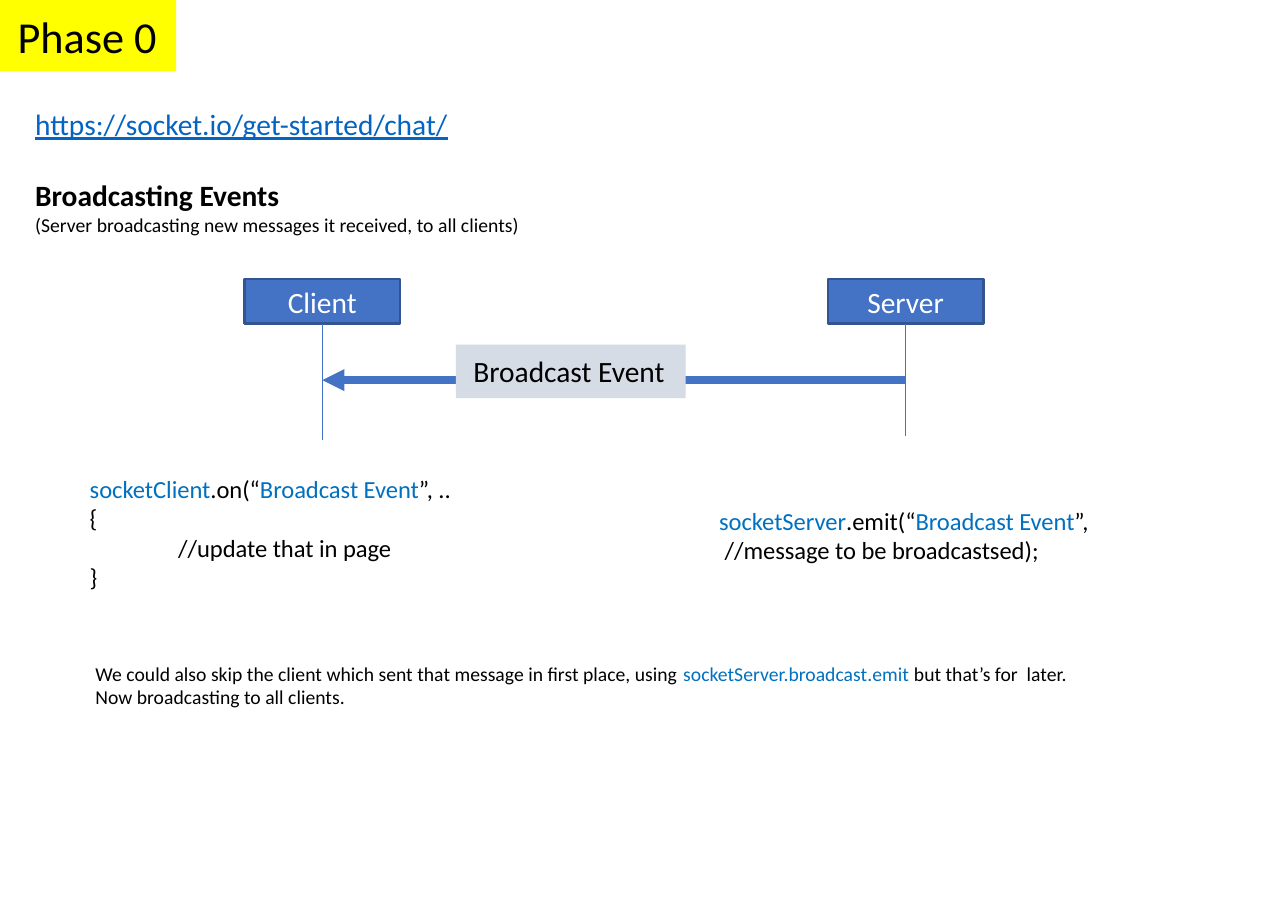
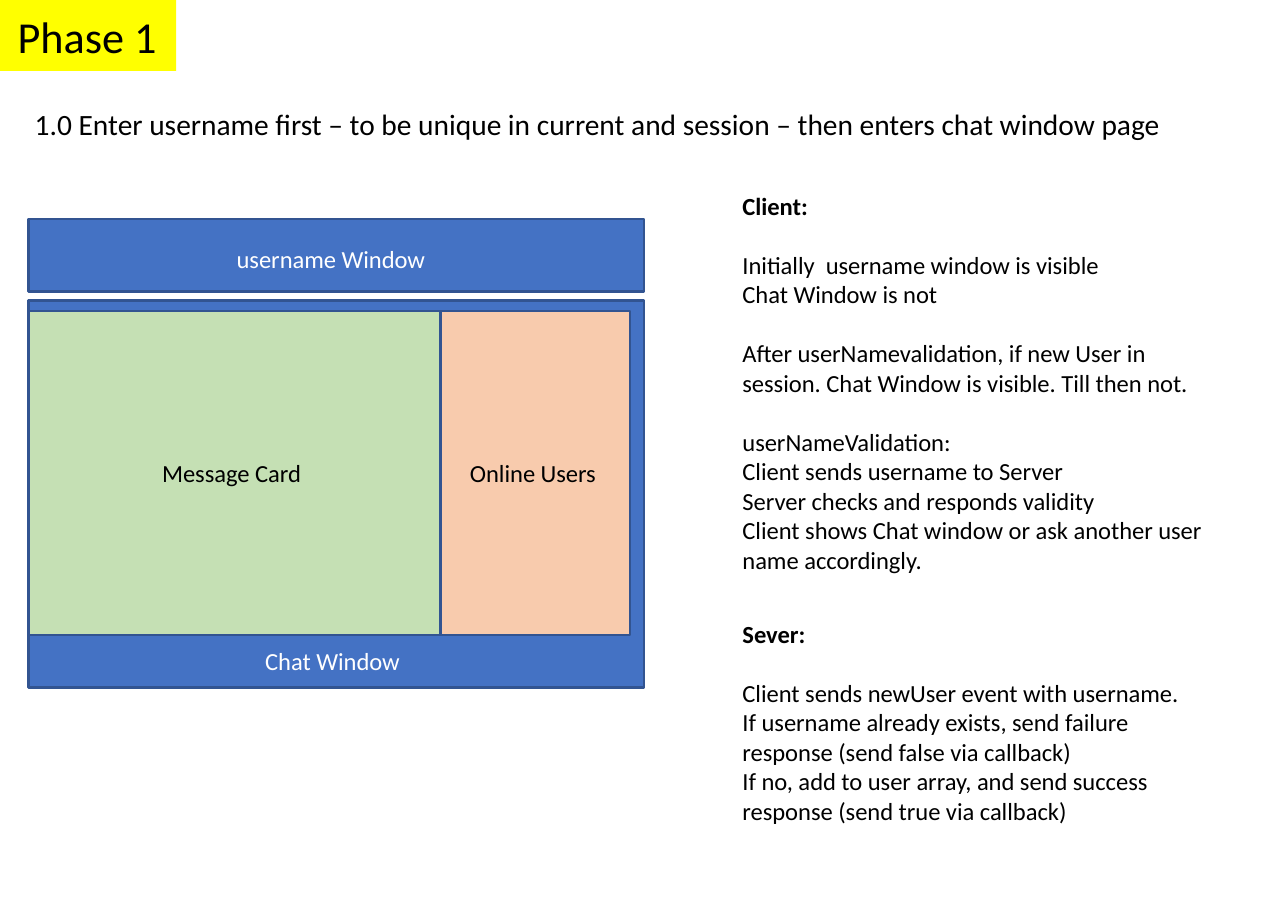
from dataclasses import dataclass
from typing import Optional

from lxml import etree
from pptx import Presentation
from pptx import util as u
from pptx.dml.color import RGBColor
from pptx.enum import shapes, text
from pptx.oxml.ns import qn

FONT = "Calibri"
BLACK, WHITE = "000000", "FFFFFF"
BLUE, OUTLINE, CODE_BLUE, LINK_BLUE = "4472C4", "325491", "0070C0", "0563C1"
YELLOW, GREY, GREEN, ORANGE = "FFFF00", "D6DCE5", "C5E0B4", "F8CBAD"
BLANK_LINE = 12  # points, one line of 10 pt text


@dataclass(frozen=True)
class Frame:
    """Place and size in centimetres."""
    left: float
    top: float
    width: float
    height: float

    @property
    def centre(self) -> float:
        return self.left + self.width / 2

    @property
    def bottom(self) -> float:
        return self.top + self.height

    def lengths(self) -> tuple:
        return tuple(u.Cm(v) for v in (self.left, self.top, self.width, self.height))


@dataclass(frozen=True)
class Run:
    text: str
    color: str = BLACK
    bold: bool = False
    underline: bool = False


@dataclass(frozen=True)
class Line:
    runs: tuple
    size: float = 10
    before: float = 0
    indent: float = 0


@dataclass(frozen=True)
class Box:
    frame: Frame
    fill: str
    outline: Optional[str] = OUTLINE


@dataclass(frozen=True)
class Label:
    frame: Frame
    text: str
    color: str = BLACK


def plain(content: str, size: float = 10, before: float = 0, color: str = BLACK,
          bold: bool = False) -> Line:
    return Line((Run(content, color, bold),), size, before)


def rgb(color: str) -> RGBColor:
    return RGBColor.from_string(color)


def write(shape, lines: list, wrap: bool = False, centred: bool = False, grow: bool = True) -> None:
    frame = shape.text_frame
    frame.word_wrap = wrap
    frame.auto_size = (text.MSO_AUTO_SIZE.SHAPE_TO_FIT_TEXT if grow
                       else text.MSO_AUTO_SIZE.NONE)
    frame.vertical_anchor = text.MSO_ANCHOR.MIDDLE if centred else text.MSO_ANCHOR.TOP
    for number, line in enumerate(lines):
        paragraph = frame.add_paragraph() if number else frame.paragraphs[0]
        paragraph.alignment = text.PP_ALIGN.CENTER if centred else text.PP_ALIGN.LEFT
        paragraph.space_before = u.Pt(line.before)
        properties = paragraph._p.get_or_add_pPr()
        properties.set("marL", str(u.Cm(line.indent)))
        properties.set("indent", "0")
        etree.SubElement(properties, qn("a:buNone"))
        for part in line.runs:
            run = paragraph.add_run()
            run.text = part.text
            run.font.name = FONT
            run.font.size = u.Pt(line.size)
            run.font.bold = part.bold
            run.font.underline = part.underline
            run.font.color.rgb = rgb(part.color)


def place(shape, frame: Frame) -> None:
    shape.left, shape.top, shape.width, shape.height = frame.lengths()


def add_phase_slide(presentation, layout: int, title: str):
    slide = presentation.slides.add_slide(presentation.slide_layouts[layout])
    badge = slide.shapes.title
    place(badge, Frame(0, 0, 2.53, 1.02))
    badge.fill.solid()
    badge.fill.fore_color.rgb = rgb(YELLOW)
    write(badge, [plain(title, 18)], grow=False)
    return slide


def fill_body(slide, index: int, frame: Frame, lines: list, wrap: bool = True) -> None:
    body = slide.placeholders[index]
    place(body, frame)
    write(body, lines, wrap, grow=False)


def add_text(slide, frame: Frame, lines: list, wrap: bool = False) -> None:
    write(slide.shapes.add_textbox(*frame.lengths()), lines, wrap)


def add_box(slide, box: Box):
    shape = slide.shapes.add_shape(shapes.MSO_SHAPE.RECTANGLE, *box.frame.lengths())
    shape.shadow.inherit = False
    shape.fill.solid()
    shape.fill.fore_color.rgb = rgb(box.fill)
    if box.outline:
        shape.line.color.rgb = rgb(box.outline)
        shape.line.width = u.Pt(1)
    else:
        shape.line.fill.background()
    return shape


def add_line(slide, start: tuple, end: tuple, width: float, arrow: bool = False) -> None:
    """Draw a straight line; an arrow points at its start."""
    connector = slide.shapes.add_connector(
        shapes.MSO_CONNECTOR.STRAIGHT, *(u.Cm(v) for v in start + end))
    connector.line.color.rgb = rgb(BLUE)
    connector.line.width = u.Pt(width)
    properties = connector._element.spPr
    if arrow:
        etree.SubElement(properties.find(qn("a:ln")), qn("a:headEnd"), type="triangle")
    etree.SubElement(properties, qn("a:effectLst"))


def build_broadcast_slide(presentation) -> None:
    slide = add_phase_slide(presentation, 1, "Phase 0")
    fill_body(slide, 1, Frame(0.25, 1.4, 7.54, 2.13), [
        Line((Run("https://socket.io/get-started/chat/", LINK_BLUE, underline=True),), 12),
        plain("Broadcasting Events", 12, 14.4, bold=True),
        plain("(Server broadcasting new messages it received, to all clients)", 8),
    ], wrap=False)

    client = Frame(3.51, 4.01, 2.24, 0.64)
    server = Frame(11.89, 4.01, 2.24, 0.64)
    for name, frame in (("Client", client), ("Server", server)):
        shape = add_box(slide, Box(frame, BLUE))
        margins = shape.text_frame
        margins.margin_left = margins.margin_right = u.Cm(0.1)
        margins.margin_top = margins.margin_bottom = u.Cm(0.05)
        write(shape, [plain(name, 12, color=WHITE)], wrap=True, centred=True, grow=False)
    for frame, end in ((client, 6.32), (server, 6.27)):
        add_line(slide, (frame.centre, frame.bottom), (frame.centre, end), 0.5)
    arrow_top = 5.46
    add_line(slide, (client.centre, arrow_top), (server.centre, arrow_top), 3, arrow=True)
    event = add_box(slide, Box(Frame(6.55, 4.95, 3.3, 0.77), GREY, None))
    write(event, [plain("Broadcast Event", 12)])

    event_name = Run("Broadcast Event", CODE_BLUE)
    add_text(slide, Frame(10.08, 7.14, 6.05, 1.12), [
        Line((Run("socketServer", CODE_BLUE), Run(".emit(“"), event_name, Run("”,"))),
        plain(" //message to be broadcastsed);"),
    ])
    add_text(slide, Frame(1.04, 6.68, 5.84, 1.96), [
        Line((Run("socketClient", CODE_BLUE), Run(".on(“"), event_name, Run("”, .."))),
        plain("{"),
        Line((Run("//update that in page"),), indent=1.27),
        plain("}"),
    ])
    add_text(slide, Frame(1.12, 9.38, 14.99, 0.94), [
        Line((Run("We could also skip the client which sent that message in first place, using "),
              Run("socketServer.broadcast.emit ", CODE_BLUE),
              Run("but that’s for  later.")), 8),
        plain("Now broadcasting to all clients.", 8),
    ], wrap=True)


def build_username_slide(presentation) -> None:
    slide = add_phase_slide(presentation, 3, "Phase 1")
    fill_body(slide, 1, Frame(10.41, 2.61, 7.29, 5.82), [
        plain("Client:", bold=True),
        plain("Initially  username window is visible", before=BLANK_LINE),
        plain("Chat Window is not"),
        plain("After userNamevalidation, if new User in session. "
              "Chat Window is visible. Till then not.", before=BLANK_LINE),
        plain("userNameValidation:", before=BLANK_LINE),
        plain("Client sends username to Server"),
        plain("Server checks and responds validity"),
        plain("Client shows Chat window or ask another user name accordingly."),
    ])
    fill_body(slide, 2, Frame(10.41, 8.76, 7.29, 3.25), [
        plain("Sever:", bold=True),
        plain("Client sends newUser event with username.", before=BLANK_LINE),
        plain("If username already exists, send failure response (send false via callback)"),
        plain("If no, add to user array, and send success response (send true via callback)"),
    ])
    add_text(slide, Frame(0.25, 1.4, 16.87, 0.76), [
        plain("1.0 Enter username first – to be unique in current and session"
              " – then enters chat window page", 12)])

    left, panel_top, panel_height, message_width = 0.41, 4.47, 4.65, 5.92
    for box in (
        Box(Frame(left, 4.32, 8.84, 5.56), BLUE),
        Box(Frame(left, 3.15, 8.84, 1.04), BLUE),
        Box(Frame(left, panel_top, message_width, panel_height), GREEN),
        Box(Frame(left + message_width, panel_top, 2.72, panel_height), ORANGE),
    ):
        add_box(slide, box)
    for label in (
        Label(Frame(2.08, 6.45, 2.54, 0.69), "Message Card"),
        Label(Frame(6.5, 6.45, 2.34, 0.69), "Online Users"),
        Label(Frame(3.15, 3.38, 3.25, 0.69), "username Window", WHITE),
        Label(Frame(3.56, 9.16, 2.46, 0.69), "Chat Window", WHITE),
    ):
        add_text(slide, label.frame, [plain(label.text, color=label.color)])


def main() -> None:
    presentation = Presentation()
    presentation.slide_width = u.Cm(18.5)
    presentation.slide_height = u.Cm(13)
    build_broadcast_slide(presentation)
    build_username_slide(presentation)
    presentation.save("out.pptx")


if __name__ == "__main__":
    main()
